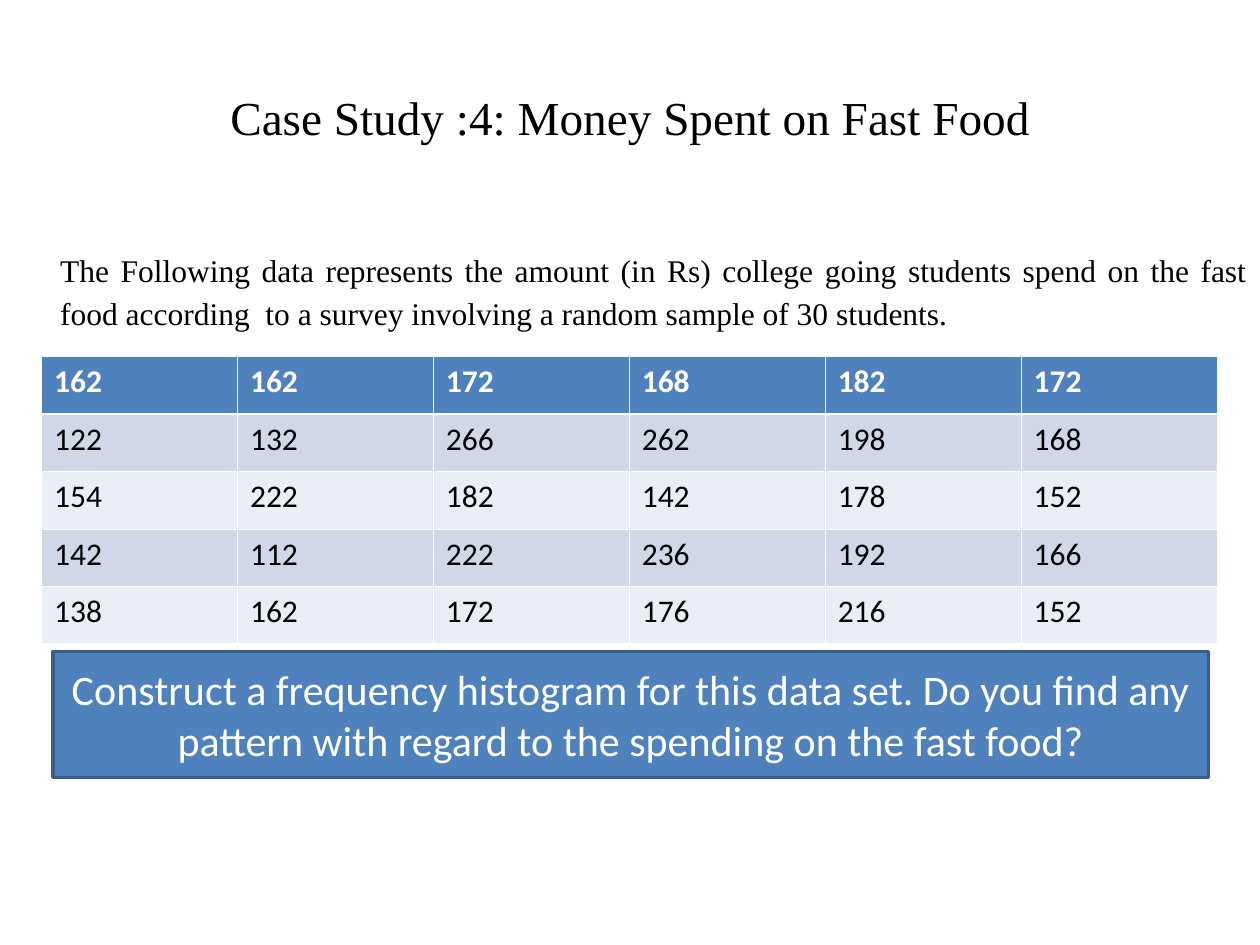
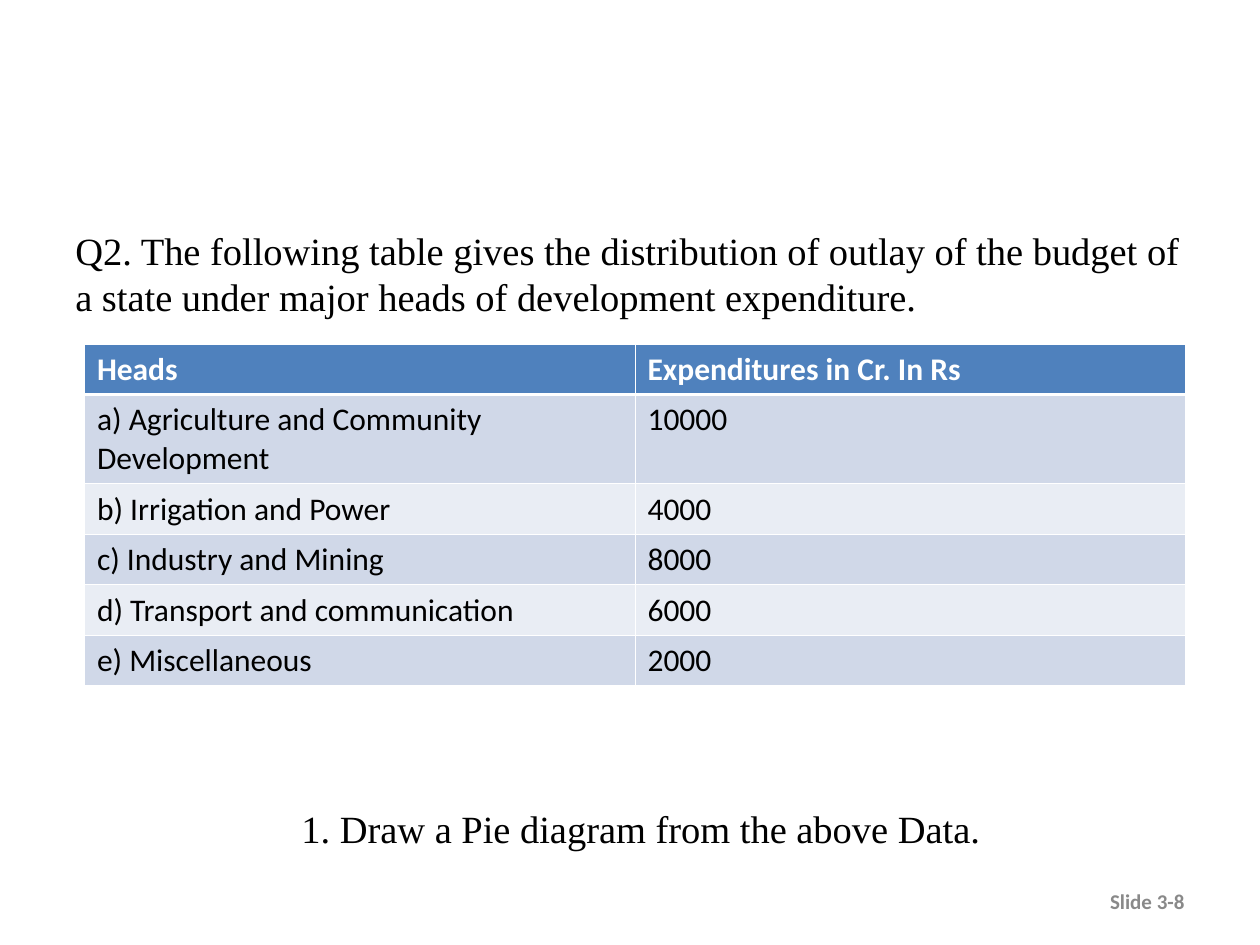
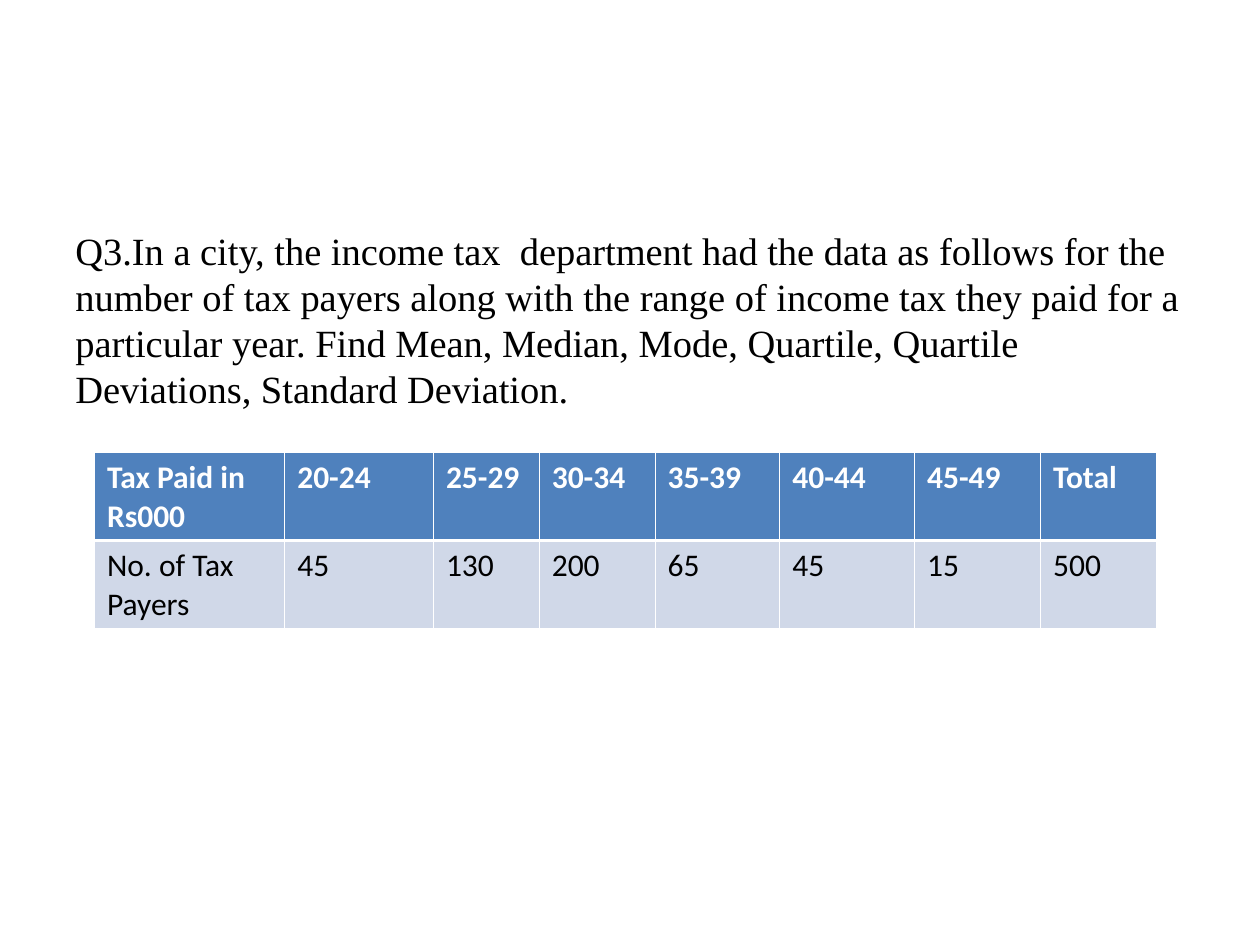
from lxml import etree
from pptx import Presentation
from pptx.dml.color import RGBColor
from pptx.enum.shapes import MSO_SHAPE
from pptx.enum.text import MSO_ANCHOR, PP_ALIGN
from pptx.oxml.ns import qn
from pptx.util import Inches, Pt

LEFT, CENTER, RIGHT, JUSTIFY = (PP_ALIGN.LEFT, PP_ALIGN.CENTER,
                                PP_ALIGN.RIGHT, PP_ALIGN.JUSTIFY)
TOP, MIDDLE = MSO_ANCHOR.TOP, MSO_ANCHOR.MIDDLE
RECTANGLE = MSO_SHAPE.RECTANGLE

COLORS = {"black": "000000", "white": "FFFFFF", "gray": "898989",
          "blue": "4F81BD", "dark_blue": "385D8A",
          "band_odd": "D0D8E8", "band_even": "E9EDF4"}
SERIF, SANS = "Times New Roman", "Calibri"
QUESTION_BOX = (0.5, 1.75, 9, 4.95)
THIN, THICK = 0.5, 1.5

SPENDING = [
    ["162", "162", "172", "168", "182", "172"],
    ["122", "132", "266", "262", "198", "168"],
    ["154", "222", "182", "142", "178", "152"],
    ["142", "112", "222", "236", "192", "166"],
    ["138", "162", "172", "176", "216", "152"],
]
BUDGET = [
    ["Heads", "Expenditures in Cr. In Rs"],
    ["a) Agriculture and Community Development", "10000"],
    ["b) Irrigation and Power", "4000"],
    ["c) Industry and Mining", "8000"],
    ["d) Transport and communication", "6000"],
    ["e) Miscellaneous", "2000"],
]
TAX = [
    ["Tax Paid in Rs000", "20-24", "25-29", "30-34", "35-39", "40-44", "45-49", "Total"],
    ["No. of Tax Payers", "45", "130", "200", "65", "45", "15", "500"],
]


def rgb(name):
    return RGBColor.from_string(COLORS[name])


def set_text(tf, text, size, font=SERIF, color="black", align=LEFT, bold=False):
    tf.word_wrap = True
    p = tf.paragraphs[0]
    p.text = text
    p.alignment = align
    p.font.size = Pt(size)
    p.font.name = font
    p.font.bold = bold
    p.font.color.rgb = rgb(color)
    return p


def add_text(s, box, text, size, anchor=MIDDLE, **style):
    tf = s.shapes.add_textbox(*map(Inches, box)).text_frame
    tf.vertical_anchor = anchor
    return set_text(tf, text, size, **style)


def add_question(s, text):
    p = add_text(s, QUESTION_BOX, text, 22, anchor=TOP)
    p.line_spacing = Pt(26.3)


def add_intro(s, text):
    """Justified paragraph set in from the left edge of the slide."""
    sp = s.shapes.add_textbox(*map(Inches, (0, 1.75, 10, 4.95)))
    sp.text_frame.margin_top = Inches(0.2)
    p = set_text(sp.text_frame, text, 18, align=JUSTIFY)
    p.line_spacing = Pt(24.6)
    p._p.get_or_add_pPr().set("marL", str(Inches(0.38)))


def add_callout(s, box, text):
    sp = s.shapes.add_shape(RECTANGLE, *map(Inches, box))
    sp.shadow.inherit = False
    sp.fill.solid()
    sp.fill.fore_color.rgb = rgb("blue")
    sp.line.color.rgb = rgb("dark_blue")
    sp.line.width = Pt(2)
    sp.text_frame.vertical_anchor = MIDDLE
    set_text(sp.text_frame, text, 24, font=SANS, color="white", align=CENTER)


def set_borders(cell, top, bottom):
    tcPr = cell._tc.get_or_add_tcPr()
    widths = {"lnL": THIN, "lnR": THIN, "lnT": top, "lnB": bottom}
    for i, (side, width) in enumerate(widths.items()):
        ln = etree.Element(qn(f"a:{side}"), w=str(Pt(width)))
        fill = etree.SubElement(ln, qn("a:solidFill"))
        etree.SubElement(fill, qn("a:srgbClr"), val=COLORS["white"])
        tcPr.insert(i, ln)


def add_data_table(s, left, top, col_widths, row_heights, rows):
    """Table with a blue header row and alternating bands below it."""
    frame = s.shapes.add_table(len(rows), len(rows[0]), Inches(left), Inches(top),
                               Inches(sum(col_widths)), Inches(sum(row_heights)))
    table = frame.table
    for col, width in zip(table.columns, col_widths):
        col.width = Inches(width)
    for r, (row, height) in enumerate(zip(table.rows, row_heights)):
        row.height = Inches(height)
        header = r == 0
        band = "blue" if header else "band_odd" if r % 2 else "band_even"
        for cell, text in zip(row.cells, rows[r]):
            cell.fill.solid()
            cell.fill.fore_color.rgb = rgb(band)
            set_text(cell.text_frame, text, 18, font=SANS, bold=header,
                     color="white" if header else "black")
            set_borders(cell, THICK if r == 1 else THIN, THICK if header else THIN)


def main():
    prs = Presentation()
    prs.slide_width, prs.slide_height = Inches(10), Inches(7.5)
    blank = prs.slide_layouts[6]

    # Fast food case study
    s = prs.slides.add_slide(blank)
    add_text(s, (0.5, 0.3, 9, 1.25), "Case Study :4: Money Spent on Fast Food",
             27, align=CENTER)
    add_intro(s, "The Following data represents the amount (in Rs) college going "
                 "students spend on the fast food according  to a survey involving "
                 "a random sample of 30 students.")
    add_data_table(s, 0.33, 2.83, [9.33 / 6] * 6, [2.28 / 5] * 5, SPENDING)
    add_callout(s, (0.42, 5.17, 9.17, 1),
                "Construct a frequency histogram for this data set. Do you find any "
                "pattern with regard to the spending on the fast food?")

    # Budget outlay
    s = prs.slides.add_slide(blank)
    add_question(s, "Q2. The following table gives the distribution of outlay of the "
                    "budget of a state under major heads of development expenditure.")
    add_text(s, (0.83, 5.8, 8.51, 1.55),
             "1. Draw a Pie diagram from the above Data.", 22, align=CENTER)
    add_text(s, (7.17, 6.95, 2.33, 0.4), "Slide 3-8", 12,
             font=SANS, color="gray", align=RIGHT, bold=True)
    add_data_table(s, 0.67, 2.73, [4.37] * 2, [0.4, 0.71] + [0.4] * 4, BUDGET)

    # Income tax distribution
    s = prs.slides.add_slide(blank)
    add_question(s, "Q3.In a city, the income tax  department had the data as follows "
                    "for the number of tax payers along with the range of income tax "
                    "they paid for a particular year. Find Mean, Median, Mode, Quartile, "
                    "Quartile Deviations, Standard Deviation.")
    add_data_table(s, 0.75, 3.59, [1.51, 1.18, 0.84, 0.92, 0.99, 1.07, 1, 0.92],
                   [0.7] * 2, TAX)

    prs.save("out.pptx")


if __name__ == "__main__":
    main()
